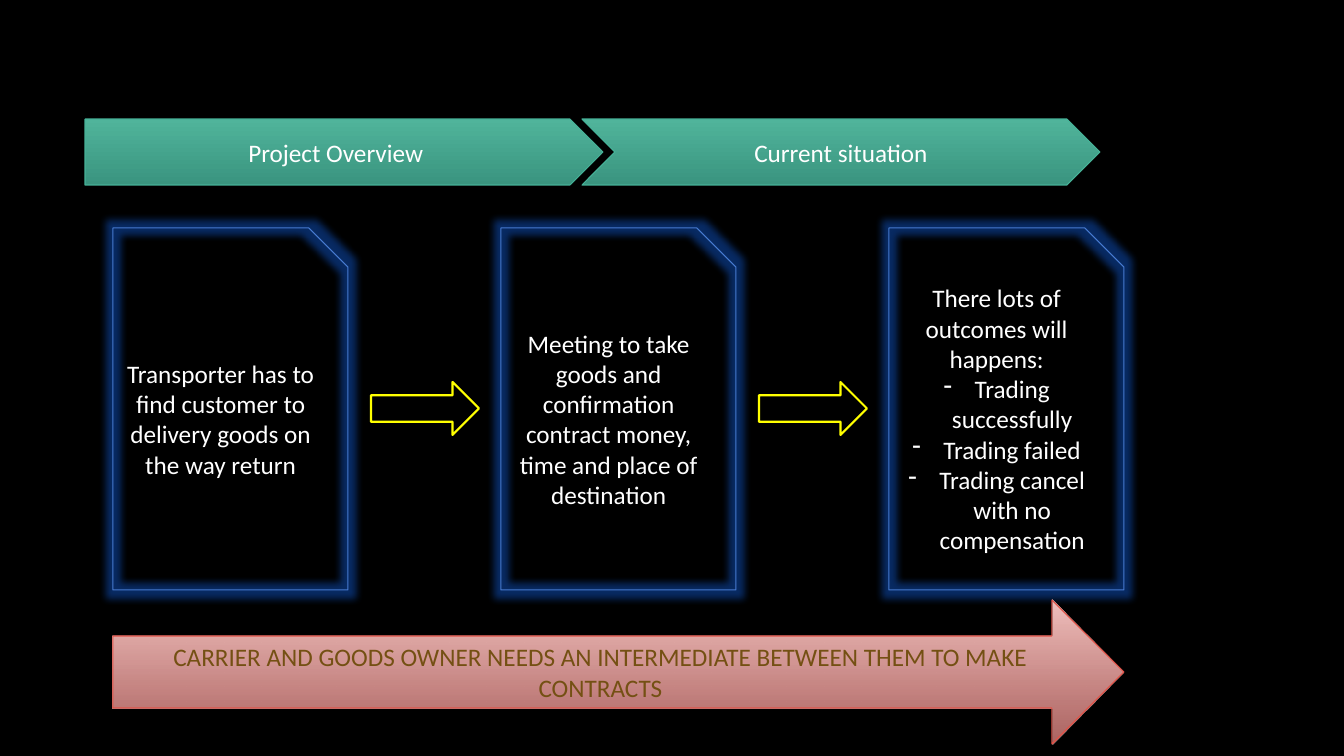
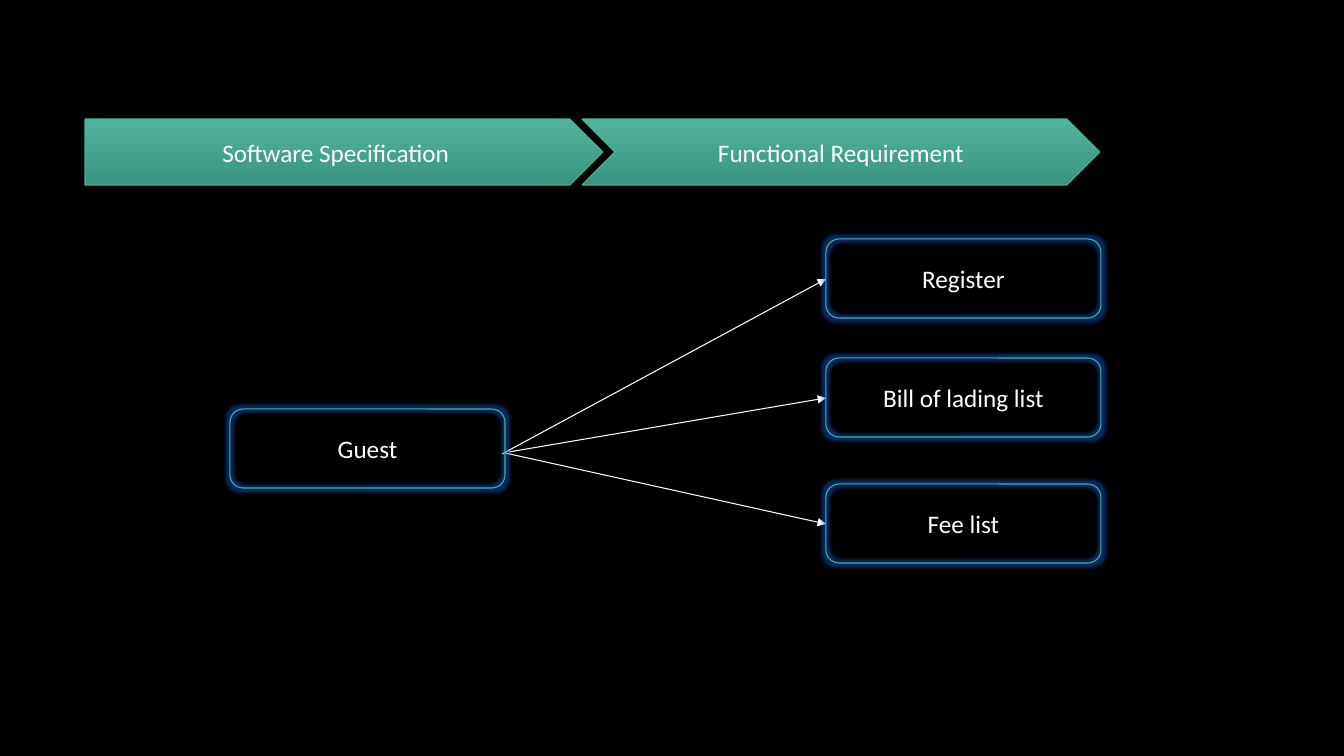
from dataclasses import dataclass

from lxml import etree
from pptx import Presentation
from pptx import util as u
from pptx.dml.color import RGBColor
from pptx.enum import shapes, text
from pptx.oxml.ns import qn

SCALE = u.Inches(1) / 100.8  # EMU in one px
KIND = shapes.MSO_SHAPE


@dataclass(frozen=True)
class Theme:
    font: str = "Calibri"
    size: int = 18
    thin: float = 0.75
    thick: float = 1.5
    back: str = "000000"
    ink: str = "FFFFFF"
    card: str = "477BD1"
    glow: str = "1469F5"
    step: str = "FFFF00"
    green: str = "46B298"
    band: tuple = ("50B49B", "3A947F")
    red: str = "E25247"
    blush: tuple = ("F2C2C0", "E88985")
    note: str = "745013"


T = Theme()


def px(num):
    return u.Emu(round(num * SCALE))


def rgb(code):
    return RGBColor.from_string(code)


def add(parent, tag, **attrs):
    node = etree.SubElement(parent, qn(tag))
    for key, val in attrs.items():
        node.set(key, str(val))
    return node


# Text: a leading "- " marks a bulleted line
def write(shape, words, color=T.ink, size=T.size, indent=31):
    frame = shape.text_frame
    frame.word_wrap = True
    frame.vertical_anchor = text.MSO_ANCHOR.MIDDLE
    for i, line in enumerate(words.split("\n")):
        para = frame.paragraphs[0] if i == 0 else frame.add_paragraph()
        para.alignment = text.PP_ALIGN.CENTER
        if line.startswith("- "):
            line = line[2:]
            props = para._p.get_or_add_pPr()
            props.set("marL", str(px(indent)))
            props.set("indent", str(-px(indent)))
            add(props, "a:buChar", char="-")
        run = para.add_run()
        run.text = line
        run.font.name = T.font
        run.font.size = u.Pt(size)
        run.font.color.rgb = rgb(color)


# Shapes: fill is None, one colour, or a pair for a vertical gradient
def draw(slide, kind, box, line, fill=None, width=T.thin):
    shape = slide.shapes.add_shape(kind, *map(px, box))
    shape.shadow.inherit = False
    if fill is None:
        shape.fill.background()
    elif isinstance(fill, tuple):
        shape.fill.gradient()
        shape.fill.gradient_angle = 270
        for stop, code in zip(shape.fill.gradient_stops, fill):
            stop.color.rgb = rgb(code)
    else:
        shape.fill.solid()
        shape.fill.fore_color.rgb = rgb(fill)
    shape.line.color.rgb = rgb(line)
    shape.line.width = u.Pt(width)
    return shape


def shine(shape, radius):
    effects = shape._element.spPr.find(qn("a:effectLst"))
    glow = add(effects, "a:glow", rad=u.Pt(radius))
    color = add(glow, "a:srgbClr", val=T.glow)
    add(color, "a:alpha", val=40000)


def link(slide, start, end):
    wire = slide.shapes.add_connector(
        shapes.MSO_CONNECTOR.STRAIGHT, *map(px, start + end))
    wire.line.color.rgb = rgb(T.ink)
    wire.line.width = u.Pt(T.thin)
    add(wire.line._get_or_add_ln(), "a:tailEnd", type="triangle")
    add(wire._element.spPr, "a:effectLst")


def node(slide, left, top, words):
    shape = draw(slide, KIND.ROUNDED_RECTANGLE, (left, top, 275, 79), T.green)
    shine(shape, 5)
    write(shape, words)


# Shared page: black ground and the two-part heading band
def page(deck, *heads):
    slide = deck.slides.add_slide(deck.slide_layouts[6])
    slide.background.fill.solid()
    slide.background.fill.fore_color.rgb = rgb(T.back)
    for i, (kind, head) in enumerate(zip((KIND.PENTAGON, KIND.CHEVRON), heads)):
        box = (85 + 497 * i, 119, 518, 66)
        write(draw(slide, kind, box, T.green, T.band), head)
    return slide


def state(deck):
    slide = page(deck, "Project Overview", "Current situation")
    cards = (
        "Transporter has to find customer to delivery goods on the way return",
        "Meeting to take goods and confirmation contract money, "
        "time and place of destination",
        "There lots of outcomes will happens:\n- Trading successfully\n"
        "- Trading failed\n- Trading cancel with no compensation",
    )
    left, pitch = 113, 388
    for i, words in enumerate(cards):
        box = (left + pitch * i, 228, 235, 362)
        card = draw(slide, KIND.SNIP_1_RECTANGLE, box, T.card)
        shine(card, 11)
        write(card, words)
    # Arrows between the cards
    for i in range(len(cards) - 1):
        box = (left + 258 + pitch * i, 382, 108, 53)
        draw(slide, KIND.RIGHT_ARROW, box, T.step, T.back, T.thick)
    # Conclusion
    box = (left, 600, 1011, 144)
    arrow = draw(slide, KIND.RIGHT_ARROW, box, T.red, T.blush)
    stops = arrow._element.spPr.find(qn("a:gradFill")).iter(qn("a:srgbClr"))
    add(list(stops)[-1], "a:alpha", val=74000)
    write(arrow, "CARRIER AND GOODS OWNER NEEDS AN INTERMEDIATE "
          "BETWEEN THEM TO MAKE CONTRACTS", color=T.note)


def needs(deck):
    slide = page(deck, "Software Specification", "Functional Requirement")
    left = 826
    tasks = (
        (239, "Register", (502, 454)),
        (358, "Bill of lading list", (509, 452)),
        (484, "Fee list", (505, 453)),
    )
    for top, _, start in tasks:
        link(slide, start, (left, top + 40))
    for top, words, _ in tasks:
        node(slide, left, top, words)
    node(slide, 230, 409, "Guest")


def main():
    deck = Presentation()
    deck.slide_width, deck.slide_height = px(1344), px(756)
    state(deck)
    needs(deck)
    deck.save("out.pptx")


if __name__ == "__main__":
    main()
